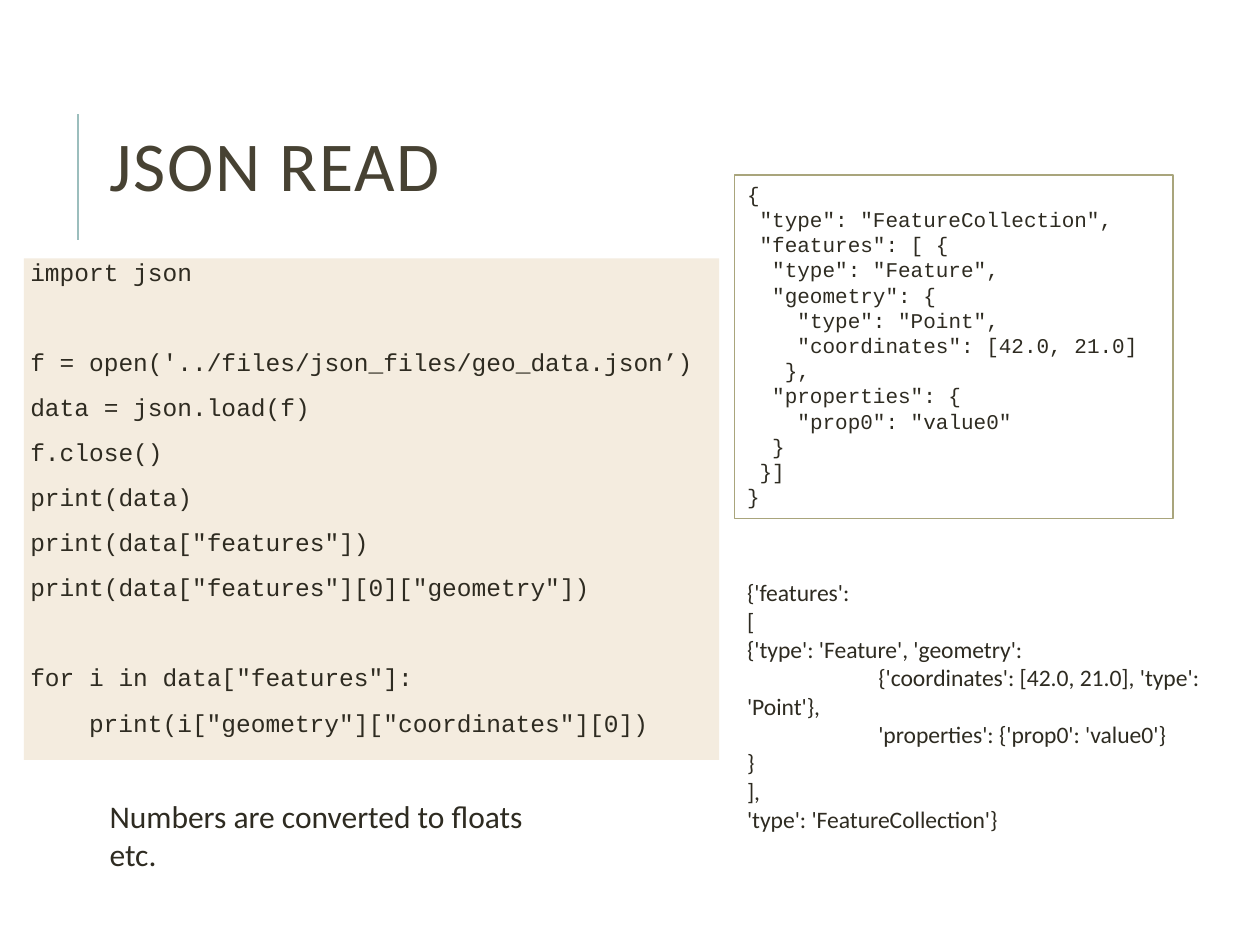
from lxml.etree import SubElement
from pptx import Presentation
from pptx.dml.color import RGBColor
from pptx.enum.shapes import MSO_CONNECTOR, MSO_SHAPE
from pptx.enum.text import MSO_ANCHOR, MSO_AUTO_SIZE, PP_ALIGN
from pptx.oxml.ns import qn
from pptx.util import Cm, Pt

INK = "2E2B21"


def color(code):
    return RGBColor.from_string(code)


def write(frame, lines, font, size, tone=INK, step=0, first=0, space=1, gap=0, after=0):
    """Fill a frame with (level, text) lines; step indents whole lines, first only their start."""
    frame.word_wrap = True
    frame.auto_size = MSO_AUTO_SIZE.NONE
    for i, (level, text) in enumerate(lines):
        para = frame.paragraphs[0] if i == 0 else frame.add_paragraph()
        para.alignment = PP_ALIGN.LEFT
        para.line_spacing = space
        para.space_before, para.space_after = Pt(gap), Pt(after)
        props = para._p.get_or_add_pPr()
        props.set("marL", str(Pt(level * step)))
        props.set("indent", str(Pt(level * first)))
        SubElement(props, qn("a:buNone"))
        run = para.add_run()
        run.text = text
        run.font.name, run.font.size = font, Pt(size)
        run.font.color.rgb = color(tone)


deck = Presentation()
deck.slide_width, deck.slide_height = Cm(25.4), Cm(19.05)
slide = deck.slides.add_slide(deck.slide_layouts[1])
shapes = slide.shapes
title, body = slide.placeholders

# Title with its accent line
title.left, title.top, title.width, title.height = Cm(1.96), Cm(2.34), Cm(24.16), Cm(2.24)
write(title.text_frame, [(0, "JSON READ")], "Calibri", 40, "474233", space=0.8)
title.text_frame.vertical_anchor = MSO_ANCHOR.MIDDLE
title.text_frame.paragraphs[0].runs[0].font._element.set("spc", "100")

rule = shapes.add_connector(MSO_CONNECTOR.STRAIGHT, Cm(1.57), Cm(4.83), Cm(1.57), Cm(2.29))
rule.line.color.rgb, rule.line.width = color("9CBEBD"), Pt(1.5)
SubElement(rule._element.spPr, qn("a:effectLst"))

# Python code
body.left, body.top, body.width, body.height = Cm(0.48), Cm(5.21), Cm(14.02), Cm(10.11)
body.fill.solid()
body.fill.fore_color.rgb = color("F4ECDF")
code = [
    (0, "import json"),
    (0, "f = open('../files/json_files/geo_data.json’)"),
    (0, "data = json.load(f)"),
    (0, "f.close()"),
    (0, "print(data)"),
    (0, 'print(data["features"])'),
    (0, 'print(data["features"][0]["geometry"])'),
    (0, 'for i in data["features"]:'),
    (4, 'print(i["geometry"]["coordinates"][0])'),
]
frame = body.text_frame
frame.margin_left = frame.margin_right = frame.margin_top = frame.margin_bottom = Cm(0.13)
frame.vertical_anchor = MSO_ANCHOR.TOP
write(frame, code, "Courier New", 14, step=8.4, space=0.7, gap=12, after=2)
for i in (1, 7):  # a line's gap before each new block
    frame.paragraphs[i].space_before = Pt(37.7)

# Printed result
result = [
    (0, "{'features':"),
    (0, "["),
    (0, "{'type': 'Feature', 'geometry':"),
    (1, "{'coordinates': [42.0, 21.0], 'type': 'Point'},"),
    (1, "'properties': {'prop0': 'value0'}"),
    (0, "}"),
    (0, "],"),
    (0, "'type': 'FeatureCollection'}"),
]
box = shapes.add_textbox(Cm(14.81), Cm(11.53), Cm(10.59), Cm(5.46))
write(box.text_frame, result, "Calibri", 13.5, first=75)

# Remark
note = shapes.add_textbox(Cm(1.96), Cm(15.95), Cm(9.83), Cm(1.02))
write(note.text_frame, [(0, "Numbers are converted to floats etc.")], "Calibri", 18)

# JSON file, indented by character
data = [
    (0, "{"),
    (1, '"type": "FeatureCollection",'),
    (1, '"features": [ {'),
    (2, '"type": "Feature",'),
    (2, '"geometry": {'),
    (4, '"type": "Point",'),
    (4, '"coordinates": [42.0, 21.0]'),
    (3, "},"),
    (2, '"properties": {'),
    (4, '"prop0": "value0"'),
    (2, "}"),
    (1, "}]"),
    (0, "}"),
]
file = shapes.add_shape(MSO_SHAPE.RECTANGLE, Cm(14.81), Cm(3.53), Cm(8.84), Cm(6.93))
file.shadow.inherit = False
file.fill.background()
file.line.color.rgb, file.line.width = color("A9A57C"), Pt(0.75)
file.text_frame.vertical_anchor = MSO_ANCHOR.TOP
write(file.text_frame, data, "Courier New", 12, step=7.2)

deck.save("out.pptx")
